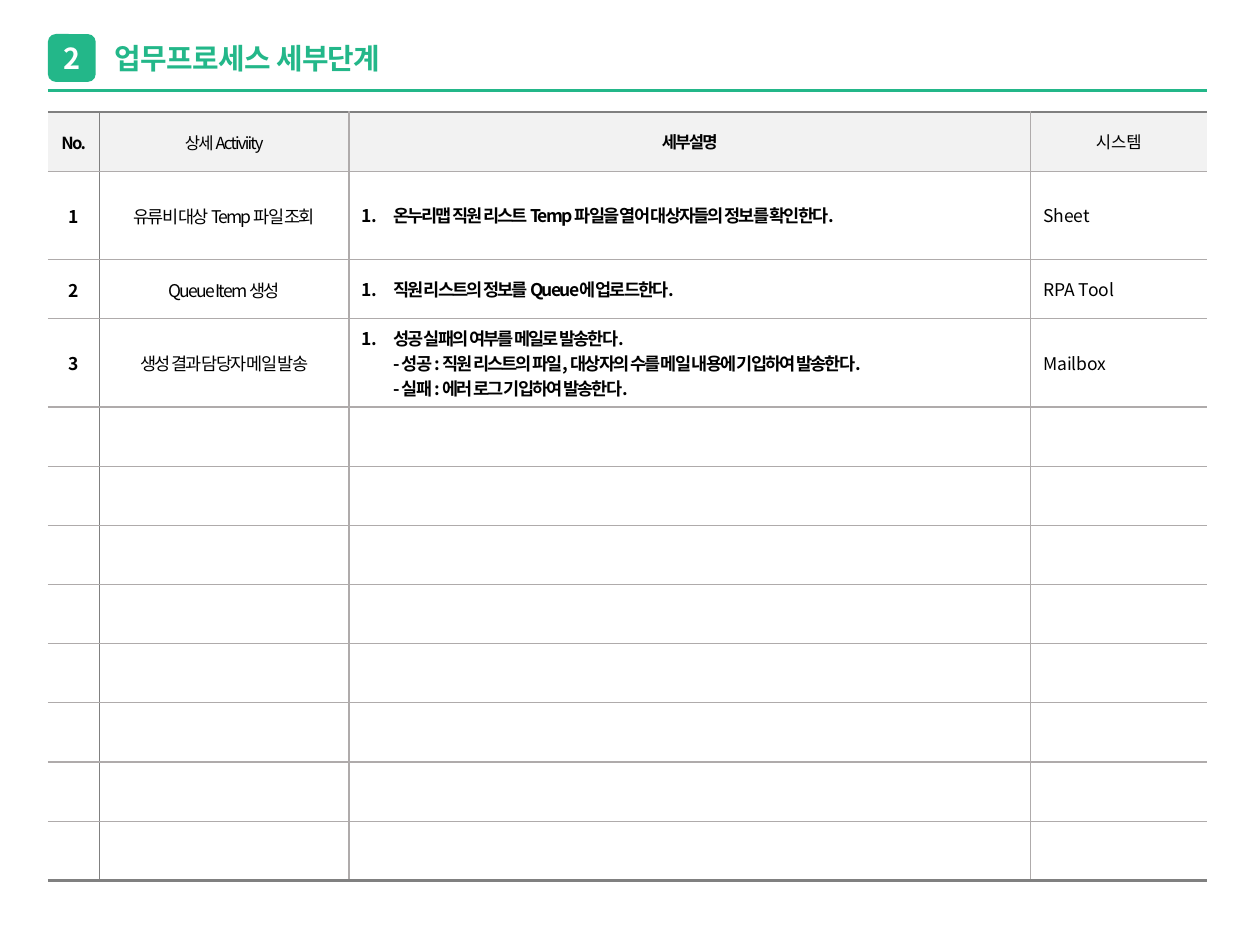
from copy import deepcopy

from lxml.etree import SubElement
from pptx import Presentation
from pptx.dml.color import RGBColor
from pptx.enum.shapes import MSO_CONNECTOR as Connector, MSO_SHAPE as Shape
from pptx.enum.text import MSO_ANCHOR as Anchor, MSO_AUTO_SIZE as AutoSize, PP_ALIGN as Align
from pptx.oxml import parse_xml
from pptx.oxml.ns import qn
from pptx.util import Inches, Pt

TITLE = "업무프로세스 세부단계"
SECTION = "2"
HEADERS = ["No.", "상세 Activiity", "세부설명", "시스템"]
STEPS = [
    ("1", "유류비 대상 Temp 파일 조회",
     "온누리맵 직원 리스트 Temp 파일을 열어 대상자들의 정보를 확인한다.", "Sheet"),
    ("2", "Queue Item 생성", "직원 리스트의 정보를 Queue에 업로드한다.", "RPA Tool"),
    ("3", "생성 결과 담당자 메일 발송",
     "성공 실패의 여부를 메일로 발송한다.\v"
     "- 성공 : 직원 리스트의 파일, 대상자의 수를 메일 내용에 기입하여 발송한다.\v"
     "- 실패 : 에러 로그 기입하여 발송한다.", "Mailbox"),
]
EMPTY_ROWS = 8

THEME = {
    "font": "Noto Sans CJK KR",
    "accent": "23B789", "white": "FFFFFF", "text": "000000",
    "header": "F2F2F2", "rule": "AFABAB", "frame": "808080",
    "title_size": 16.5, "header_size": 9.5, "body_size": 10,
    "thin": 0.75, "thick": 1.5,
}
COLUMNS = [  # width, bold, letter spacing, body alignment, line spacing
    (0.41, True, -1, Align.CENTER, 1.04),
    (1.98, False, -1, Align.CENTER, 1.04),
    (5.41, True, -1, Align.LEFT, None),
    (1.4, False, 0, Align.LEFT, None),
]
DESCRIPTION = 2
ROW_HEIGHT, TALL_ROW, TALL_ROWS = 0.47, 0.7, {1, 3}
LEFT, TOP, TABLE_TOP, RULE_Y = 0.38, 0.27, 0.89, 0.72
BADGE = 0.38
WIDTH = sum(column[0] for column in COLUMNS)


def color(name):
    return RGBColor.from_string(THEME[name])


def apply(target, values):
    for name, value in values.items():
        setattr(target, name, value)


def write(paragraph, text, size, ink, bold, spacing=0):
    paragraph.text = text
    for run in paragraph.runs:
        apply(run.font, {"name": THEME["font"], "size": Pt(THEME[size]), "bold": bold})
        run.font.color.rgb = color(ink)
        properties = run.font._element
        properties.set("spc", str(round(spacing * 100)))
        SubElement(properties, qn("a:ea"), typeface=THEME["font"])
    for line_break in paragraph._p.findall(qn("a:br")):
        line_break.insert(0, deepcopy(properties))


def number_paragraph(paragraph):
    properties = paragraph._p.get_or_add_pPr()
    for name, indent in (("marL", 0.25), ("indent", -0.25)):
        properties.set(name, str(Inches(indent)))
    SubElement(properties, qn("a:buFont"), typeface="+mj-lt")
    SubElement(properties, qn("a:buAutoNum"), type="arabicPeriod")


def set_borders(cell, row, column, last_row):
    thin, thick = THEME["thin"], THEME["thick"]
    last_column = len(COLUMNS) - 1
    borders = [
        ("L", column and ("frame" if column == 1 else "rule", thin)),
        ("R", column < last_column and ("frame" if column == 0 else "rule", thin)),
        ("T", ("rule", thin) if row else ("frame", thick)),
        ("B", ("rule", thin) if row < last_row else ("frame", thick)),
    ]
    properties = cell._tc.get_or_add_tcPr()
    for position, (side, border) in enumerate(borders):
        line = parse_xml(
            f'<a:ln{side} xmlns:a="http://schemas.openxmlformats.org/drawingml/2006/main"/>')
        if border:
            name, width = border
            line.set("w", str(Pt(width)))
            fill = SubElement(line, qn("a:solidFill"))
            SubElement(fill, qn("a:srgbClr"), val=THEME[name])
        else:
            SubElement(line, qn("a:noFill"))
        properties.insert(position, line)


def fill_cell(cell, text, row, column):
    _, bold, spacing, alignment, line_spacing = COLUMNS[column]
    cell.vertical_anchor = Anchor.MIDDLE
    if row == 0:
        cell.fill.solid()
        cell.fill.fore_color.rgb = color("header")
    else:
        cell.fill.background()
    if not text:
        return
    paragraph = cell.text_frame.paragraphs[0]
    write(paragraph, text, "body_size" if row else "header_size", "text", bold, spacing)
    paragraph.alignment = alignment if row else Align.CENTER
    if column <= DESCRIPTION:
        paragraph.space_before = Pt(2)
    if line_spacing:
        paragraph.line_spacing = line_spacing
    if row and column == DESCRIPTION:
        number_paragraph(paragraph)


def add_process_table(slide):
    rows = [HEADERS, *STEPS] + [[""] * len(COLUMNS)] * EMPTY_ROWS
    heights = [TALL_ROW if row in TALL_ROWS else ROW_HEIGHT for row in range(len(rows))]
    table = slide.shapes.add_table(
        len(rows), len(COLUMNS), Inches(LEFT), Inches(TABLE_TOP),
        Inches(WIDTH), Inches(sum(heights))).table
    apply(table, {"first_row": False, "horz_banding": False})
    for column, values in zip(table.columns, COLUMNS):
        column.width = Inches(values[0])
    for row, (texts, height) in enumerate(zip(rows, heights)):
        table.rows[row].height = Inches(height)
        for column, text in enumerate(texts):
            cell = table.cell(row, column)
            fill_cell(cell, text, row, column)
            set_borders(cell, row, column, len(rows) - 1)


def add_heading(slide):
    rule = slide.shapes.add_connector(
        Connector.STRAIGHT, Inches(LEFT), Inches(RULE_Y), Inches(LEFT + WIDTH), Inches(RULE_Y))
    rule.line.color.rgb = color("accent")
    rule.line.width = Pt(THEME["thick"])
    SubElement(rule._element.spPr, qn("a:effectLst"))

    title = slide.shapes.title
    apply(title, {"left": Inches(0.81), "top": Inches(TOP),
                  "width": Inches(6.51), "height": Inches(BADGE)})
    apply(title.text_frame, {"vertical_anchor": Anchor.MIDDLE, "word_wrap": True,
                             "auto_size": AutoSize.NONE})
    paragraph = title.text_frame.paragraphs[0]
    write(paragraph, TITLE, "title_size", "accent", True, -0.3)
    paragraph.alignment = Align.LEFT

    badge = slide.shapes.add_shape(
        Shape.ROUNDED_RECTANGLE, Inches(LEFT), Inches(TOP), Inches(BADGE), Inches(BADGE))
    badge.shadow.inherit = False
    badge.fill.solid()
    badge.fill.fore_color.rgb = color("accent")
    badge.line.fill.background()
    badge.text_frame.vertical_anchor = Anchor.MIDDLE
    paragraph = badge.text_frame.paragraphs[0]
    write(paragraph, SECTION, "title_size", "white", True)
    paragraph.alignment = Align.CENTER


def main():
    presentation = Presentation()
    apply(presentation, {"slide_width": Inches(10), "slide_height": Inches(7.5)})
    slide = presentation.slides.add_slide(presentation.slide_layouts[5])
    add_process_table(slide)
    add_heading(slide)
    presentation.save("out.pptx")


if __name__ == "__main__":
    main()
